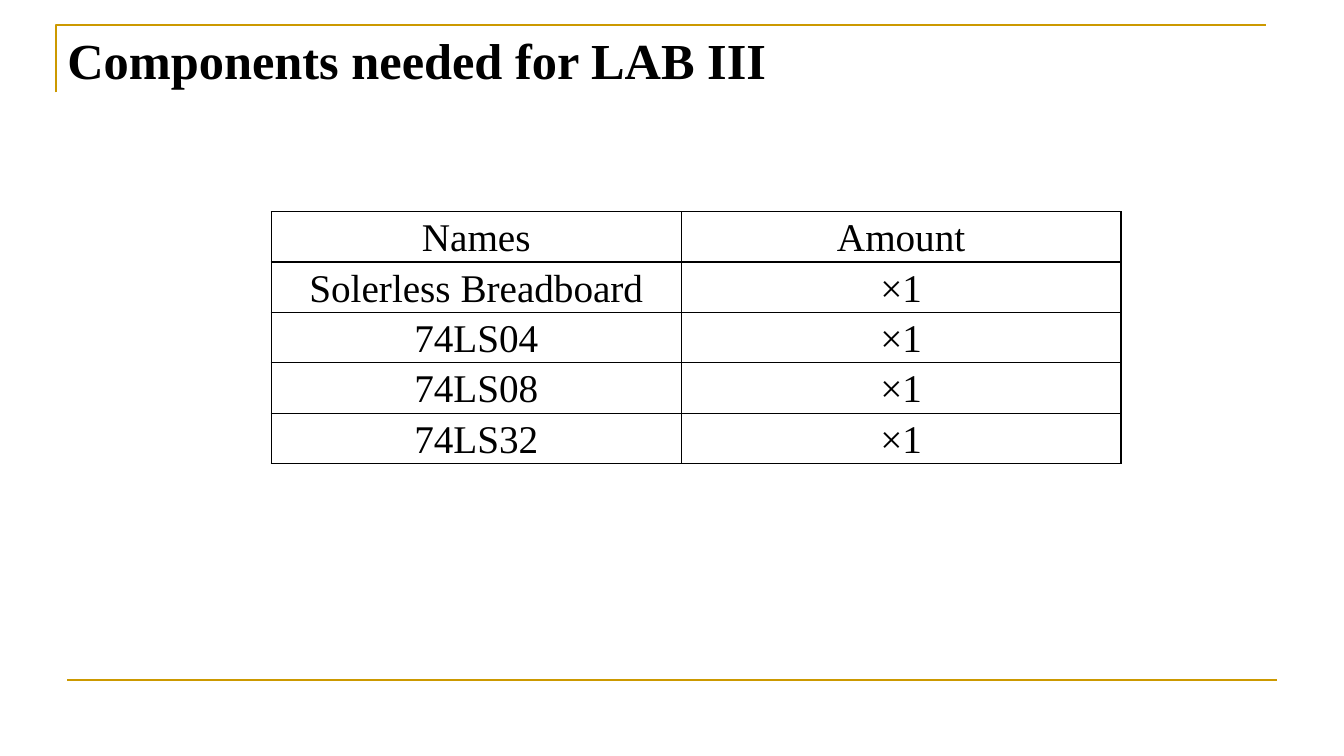
from dataclasses import dataclass

from lxml.etree import SubElement
from pptx import Presentation
from pptx.dml.color import RGBColor
from pptx.enum.shapes import MSO_CONNECTOR
from pptx.enum.text import MSO_ANCHOR, PP_ALIGN
from pptx.oxml.ns import qn
from pptx.util import Pt


@dataclass(frozen=True)
class Theme:
    font: str = "Times New Roman"
    ink: str = "000000"
    gold: str = "CC9900"
    title_size: int = 36
    table_size: int = 28
    rule_width: float = 1.5
    border_width: float = 1


class SlideWriter:
    def __init__(self, page, theme):
        self.page = page
        self.theme = theme

    def style_text(self, paragraph, size, bold=False):
        for span in paragraph.runs:
            span.font.name = self.theme.font
            span.font.size = Pt(size)
            span.font.bold = bold
            span.font.color.rgb = RGBColor.from_string(self.theme.ink)

    def style_rule(self, shape):
        shape.line.color.rgb = RGBColor.from_string(self.theme.gold)
        shape.line.width = Pt(self.theme.rule_width)

    def add_corner(self, left, top, right, bottom):
        """Draw an open path up the left side and along the top."""
        builder = self.page.shapes.build_freeform(Pt(left), Pt(bottom))
        builder.add_line_segments(
            [(Pt(left), Pt(top)), (Pt(right), Pt(top))], close=False)
        corner = builder.convert_to_shape()
        corner.shadow.inherit = False
        corner.fill.background()
        self.style_rule(corner)

    def add_rule(self, left, right, y):
        rule = self.page.shapes.add_connector(
            MSO_CONNECTOR.STRAIGHT, Pt(left), Pt(y), Pt(right), Pt(y))
        self.style_rule(rule)
        SubElement(rule._element.spPr, qn("a:effectLst"))

    def add_title(self, text, left, top, width, height):
        box = self.page.shapes.add_textbox(
            Pt(left), Pt(top), Pt(width), Pt(height))
        frame = box.text_frame
        frame.word_wrap = True
        frame.vertical_anchor = MSO_ANCHOR.TOP
        frame.text = text
        self.style_text(frame.paragraphs[0], self.theme.title_size, bold=True)

    def add_borders(self, cell):
        properties = cell._tc.get_or_add_tcPr()
        for position, side in enumerate(("lnL", "lnR", "lnT", "lnB")):
            line = SubElement(properties, qn(f"a:{side}"),
                              w=str(Pt(self.theme.border_width)))
            fill = SubElement(line, qn("a:solidFill"))
            SubElement(fill, qn("a:srgbClr"), val=self.theme.ink)
            properties.insert(position, line)

    def add_table(self, rows, left, top, column_widths, row_height):
        table = self.page.shapes.add_table(
            len(rows), len(column_widths), Pt(left), Pt(top),
            Pt(sum(column_widths)), Pt(row_height * len(rows))).table
        table.first_row = False
        table.horz_banding = False
        for column, width in zip(table.columns, column_widths):
            column.width = Pt(width)
        for row, values in zip(table.rows, rows):
            row.height = Pt(row_height)
            for cell, value in zip(row.cells, values):
                self.fill_cell(cell, value)

    def fill_cell(self, cell, value):
        cell.fill.background()
        cell.vertical_anchor = MSO_ANCHOR.MIDDLE
        cell.margin_left = cell.margin_right = Pt(5.4)
        cell.margin_top = cell.margin_bottom = Pt(0)
        cell.text_frame.text = value
        paragraph = cell.text_frame.paragraphs[0]
        paragraph.alignment = PP_ALIGN.CENTER
        paragraph.line_spacing = 1.07
        self.style_text(paragraph, self.theme.table_size)
        self.add_borders(cell)


def main():
    deck = Presentation()
    deck.slide_width, deck.slide_height = Pt(960), Pt(540)
    page = deck.slides.add_slide(deck.slide_layouts[6])
    writer = SlideWriter(page, Theme())

    writer.add_corner(left=40, top=18, right=904, bottom=66)
    writer.add_rule(left=48, right=912, y=486)
    writer.add_title("Components needed for LAB III", 41, 17.3, 726, 95)

    parts = ("Solerless Breadboard", "74LS04", "74LS08", "74LS32")
    rows = [("Names", "Amount")] + [(part, "×1") for part in parts]
    writer.add_table(rows, left=193.7, top=151.2,
                     column_widths=(293, 314), row_height=22.3)

    deck.save("out.pptx")


if __name__ == "__main__":
    main()
